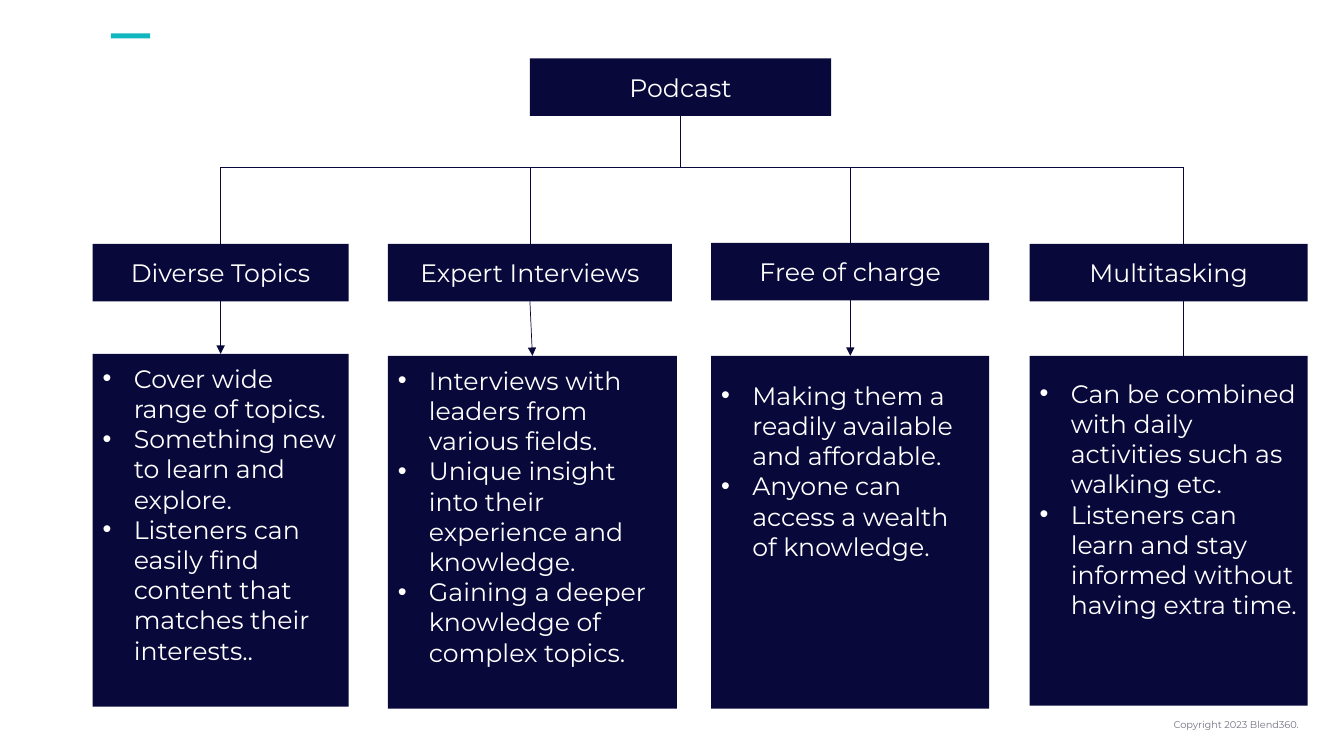
import pptx
import pptx.util
import pptx.dml.color
import pptx.enum.shapes
import pptx.enum.text
import pptx.oxml
import pptx.oxml.ns

WIDE, HIGH = 13.34, 7.5
RAIL = 1.66
HEAD = 0.57
INDENT = 0.31
INK = {"navy": "08083B", "teal": "11B7BF", "gray": "757385", "white": "FFFFFF"}
FONT = {"name": "Montserrat", "size": pptx.util.Pt(18), "bold": False}
TITLE = (5.26, 0.58, 2.99, HEAD)
COLUMNS = [
    {"label": "Diverse Topics", "box": (0.92, 2.42, 2.54, 4.59), "body": (1.09, 2.54),
     "pad": 0.09, "shift": 0, "dip": 0,
     "points": ["Cover wide range of topics.",
                "Something new to learn and explore.",
                "Listeners can easily find content that matches their interests.."]},
    {"label": "Expert Interviews", "box": (3.85, 2.42, 2.82, 4.61), "body": (1.11, 2.87),
     "pad": 0.09, "shift": 0, "dip": 0,
     "points": ["Interviews with leaders from various fields.",
                "Unique insight into their experience and knowledge.",
                "Gaining a deeper knowledge of complex topics."]},
    {"label": "Free of charge", "box": (7.06, 2.41, 2.76, 4.62), "body": (1.12, 2.76),
     "pad": 0.24, "shift": 0, "dip": 0,
     "points": ["Making them a readily available and affordable.",
                "Anyone can access a wealth of knowledge."]},
    {"label": "Multitasking", "box": (10.22, 2.42, 2.76, 4.58), "body": (1.11, 2.76),
     "pad": 0.22, "shift": 0.15, "dip": 0.21,
     "points": ["Can be combined with daily activities such as walking etc.",
                "Listeners can learn and stay informed without having extra time."]},
]


def inches(*sizes):
    return [pptx.util.Inches(size) for size in sizes]


def color(name):
    return pptx.dml.color.RGBColor.from_string(INK[name])


def style(font, tint, **more):
    for key, value in {**FONT, **more}.items():
        setattr(font, key, value)
    font.color.rgb = color(tint)


def block(slide, box, tint="navy"):
    shape = slide.shapes.add_shape(pptx.enum.shapes.MSO_SHAPE.RECTANGLE, *inches(*box))
    shape.shadow.inherit = False
    shape.fill.solid()
    shape.fill.fore_color.rgb = color(tint)
    shape.line.fill.background()
    return shape


def label(shape, text):
    frame = shape.text_frame
    frame.text = text
    frame.word_wrap = True
    frame.vertical_anchor = pptx.enum.text.MSO_ANCHOR.MIDDLE
    para = frame.paragraphs[0]
    para.alignment = pptx.enum.text.PP_ALIGN.CENTER
    para.line_spacing = 1.0
    style(para.font, "white")


def bullets(shape, points, pad):
    frame = shape.text_frame
    frame.word_wrap = True
    frame.vertical_anchor = pptx.enum.text.MSO_ANCHOR.TOP
    frame.margin_top = pptx.util.Inches(pad)
    frame.text = "\n".join(points)
    for para in frame.paragraphs:
        para.alignment = pptx.enum.text.PP_ALIGN.LEFT
        props = para._p.get_or_add_pPr()
        props.set("marL", str(pptx.util.Inches(INDENT)))
        props.set("indent", str(-pptx.util.Inches(INDENT)))
        face = pptx.oxml.ns.qn("a:buFont")
        props.append(props.makeelement(face, {"typeface": "Arial"}))
        mark = pptx.oxml.ns.qn("a:buChar")
        props.append(props.makeelement(mark, {"char": "•"}))
        style(para.font, "white")


def link(slide, start, end, arrow=False):
    kind = pptx.enum.shapes.MSO_CONNECTOR.STRAIGHT
    line = slide.shapes.add_connector(kind, *inches(*start, *end))
    line.line.color.rgb = color("navy")
    line.line.width = pptx.util.Pt(0.5)
    if arrow:
        edge = line.line._get_or_add_ln()
        tail = pptx.oxml.ns.qn("a:tailEnd")
        edge.append(edge.makeelement(tail, {"type": "triangle"}))
    props = line._element.spPr
    props.append(props.makeelement(pptx.oxml.ns.qn("a:effectLst"), {}))


def root(slide, box):
    left, top, width, height = box
    title = slide.shapes.title
    places = dict(zip(("left", "top", "width", "height"), inches(*box)))
    for key, value in places.items():
        setattr(title, key, value)
    title.fill.solid()
    title.fill.fore_color.rgb = color("navy")
    label(title, "Podcast")
    title.text_frame.auto_size = pptx.enum.text.MSO_AUTO_SIZE.NONE
    middle = left + width / 2
    link(slide, (middle, top + height), (middle, RAIL))


def stem(column):
    left, top, width, height = column["box"]
    return left + width / 2 + column["shift"]


def branch(slide, column):
    left, top, width, height = column["box"]
    down, broad = column["body"]
    label(block(slide, (left, top, width, HEAD)), column["label"])
    body = block(slide, (left, top + down, broad, height - down))
    bullets(body, column["points"], column["pad"])
    middle = stem(column)
    target = left + broad / 2 + column["shift"]
    link(slide, (middle, top), (middle, RAIL))
    link(slide, (middle, top + HEAD), (target, top + down + column["dip"]), True)


def footer(slide, box):
    note = slide.shapes.add_textbox(*inches(*box))
    note.text_frame.word_wrap = True
    note.text_frame.text = "Copyright 2023 Blend360."
    style(note.text_frame.paragraphs[0].font, "gray", size=pptx.util.Pt(7))


def main():
    deck = pptx.Presentation()
    deck.slide_width, deck.slide_height = inches(WIDE, HIGH)
    slide = deck.slides.add_slide(deck.slide_layouts[5])
    block(slide, (1.1, 0.33, 0.39, 0.05), "teal")
    footer(slide, (11.55, 7.08, 1.55, 0.22))
    root(slide, TITLE)
    link(slide, (stem(COLUMNS[0]), RAIL), (stem(COLUMNS[-1]), RAIL))
    for column in COLUMNS:
        branch(slide, column)
    deck.save("out.pptx")


if __name__ == "__main__":
    main()
